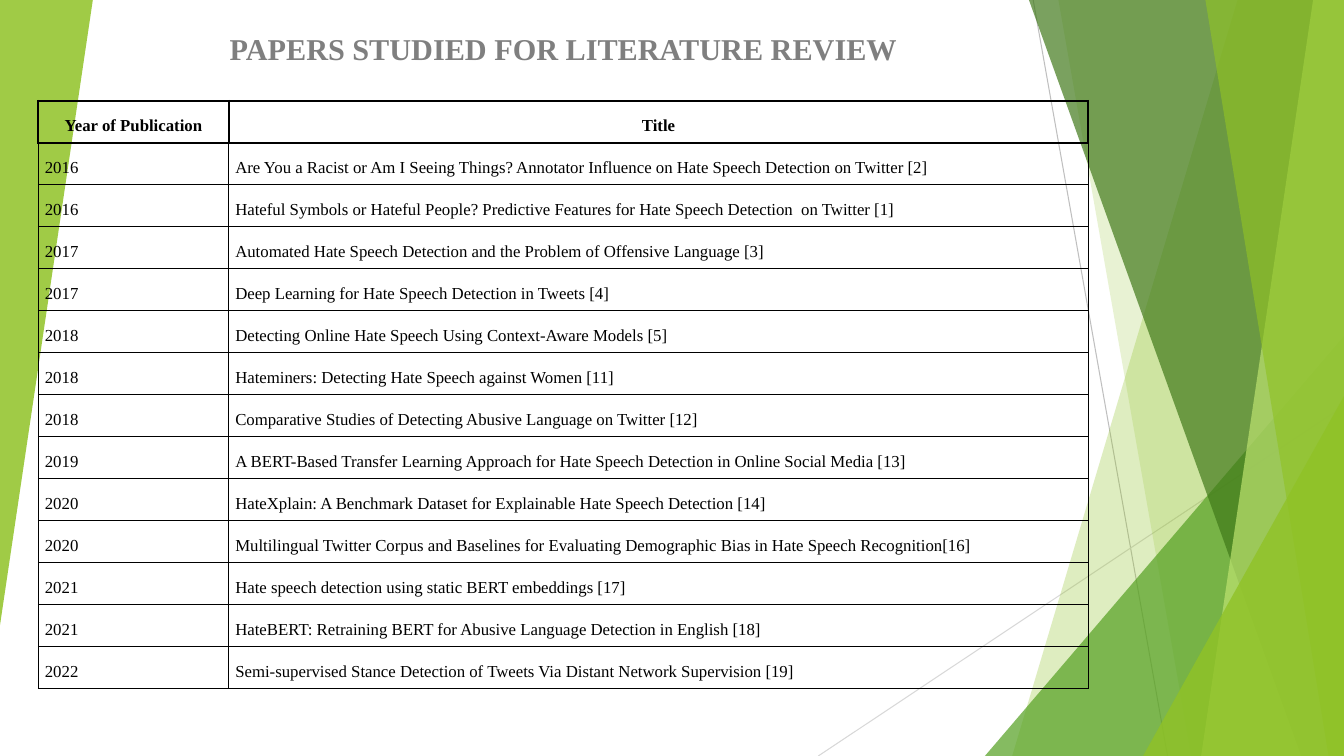
from dataclasses import dataclass

import lxml.etree
import pptx
import pptx.dml.color
import pptx.enum.shapes
import pptx.enum.text
import pptx.oxml.ns
import pptx.util

Pt = pptx.util.Pt
RGBColor = pptx.dml.color.RGBColor
Align = pptx.enum.text.PP_ALIGN
Anchor = pptx.enum.text.MSO_ANCHOR
qn = pptx.oxml.ns.qn

BLACK = RGBColor(0x00, 0x00, 0x00)
TITLE_GRAY = RGBColor(0x7F, 0x7F, 0x7F)
LINE_GRAY = RGBColor(0xBF, 0xBF, 0xBF)
PALE_GRAY = RGBColor(0xD8, 0xD8, 0xD8)
LIME = RGBColor(0x90, 0xC2, 0x26)
PALE_LIME = RGBColor(0xBF, 0xE4, 0x71)
GREEN = RGBColor(0x54, 0xA0, 0x21)
DARK_GREEN = RGBColor(0x3F, 0x78, 0x18)

FONT = "Times New Roman"
WIDTH, HEIGHT = 960, 540
ROW_HEIGHT = 30
CELL_INSET = 4.65
COLUMN_WIDTHS = (136, 614)


@dataclass(frozen=True)
class Ray:
    start: tuple[float, float]
    end: tuple[float, float]
    color: RGBColor


@dataclass(frozen=True)
class Band:
    top_left: float
    bottom_left: float
    color: RGBColor
    opacity: int


@dataclass(frozen=True)
class Wedge:
    left: float
    top: float
    width: float
    height: float
    color: RGBColor
    opacity: int
    rotation: float = 0


@dataclass(frozen=True)
class Paper:
    year: str
    title: str
    alignment: Align = Align.LEFT


DECORATION = (
    Ray((738, 0), (834, HEIGHT), LINE_GRAY),
    Ray((WIDTH, 290), (584.5, HEIGHT), PALE_GRAY),
    Band(884, 723, LIME, 29),
    Band(756, 851, LIME, 20),
    Wedge(703.5, 240, 256.5, 300, GREEN, 71),
    Band(735, 929.5, DARK_GREEN, 69),
    Band(938, 858, PALE_LIME, 69),
    Band(861, 949, LIME, 65),
    Wedge(816.5, 283, 143.5, 257, LIME, 80),
    Wedge(0, 0, 66.3, 446.5, LIME, 85, 180),
)

PAPERS = (
    Paper("2016", "Are You a Racist or Am I Seeing Things? Annotator Influence on Hate Speech Detection on Twitter [2]"),
    Paper("2016", "Hateful Symbols or Hateful People? Predictive Features for Hate Speech Detection  on Twitter [1]", Align.JUSTIFY),
    Paper("2017", "Automated Hate Speech Detection and the Problem of Offensive Language [3]"),
    Paper("2017", "Deep Learning for Hate Speech Detection in Tweets [4]"),
    Paper("2018", "Detecting Online Hate Speech Using Context-Aware Models [5]", Align.JUSTIFY),
    Paper("2018", "Hateminers: Detecting Hate Speech against Women [11]"),
    Paper("2018", "Comparative Studies of Detecting Abusive Language on Twitter [12]", Align.JUSTIFY),
    Paper("2019", "A BERT-Based Transfer Learning Approach for Hate Speech Detection in Online Social Media [13]"),
    Paper("2020", "HateXplain: A Benchmark Dataset for Explainable Hate Speech Detection [14]"),
    Paper("2020", "Multilingual Twitter Corpus and Baselines for Evaluating Demographic Bias in Hate Speech Recognition[16]"),
    Paper("2021", "Hate speech detection using static BERT embeddings [17]"),
    Paper("2021", "HateBERT: Retraining BERT for Abusive Language Detection in English [18]"),
    Paper("2022", "Semi-supervised Stance Detection of Tweets Via Distant Network Supervision [19]", Align.JUSTIFY),
)


def paint(shape, color: RGBColor, opacity: int) -> None:
    shape.shadow.inherit = False
    shape.line.fill.background()
    shape.fill.solid()
    shape.fill.fore_color.rgb = color
    color_element = shape.element.spPr.find(qn("a:solidFill"))[0]
    lxml.etree.SubElement(color_element, qn("a:alpha"), val=str(opacity * 1000))


def draw_ray(slide, ray: Ray) -> None:
    connector = slide.shapes.add_connector(
        pptx.enum.shapes.MSO_CONNECTOR.STRAIGHT, *map(Pt, ray.start + ray.end))
    connector.line.color.rgb = ray.color
    connector.line.width = Pt(0.75)
    lxml.etree.SubElement(connector.element.spPr, qn("a:effectLst"))


def draw_band(slide, band: Band) -> None:
    builder = slide.shapes.build_freeform(Pt(band.top_left), 0)
    corners = ((WIDTH, 0), (WIDTH, HEIGHT), (band.bottom_left, HEIGHT))
    builder.add_line_segments([(Pt(x), Pt(y)) for x, y in corners], close=True)
    paint(builder.convert_to_shape(), band.color, band.opacity)


def draw_wedge(slide, wedge: Wedge) -> None:
    shape = slide.shapes.add_shape(
        pptx.enum.shapes.MSO_SHAPE.ISOSCELES_TRIANGLE,
        Pt(wedge.left), Pt(wedge.top), Pt(wedge.width), Pt(wedge.height))
    shape.adjustments[0] = 1
    shape.rotation = wedge.rotation
    paint(shape, wedge.color, wedge.opacity)


DRAWERS = {Ray: draw_ray, Band: draw_band, Wedge: draw_wedge}


def format_font(font, size: float, color: RGBColor, bold: bool) -> None:
    font.name = FONT
    font.size = Pt(size)
    font.color.rgb = color
    font.bold = bold


def place_title(slide, text: str) -> None:
    title = slide.shapes.title
    title.element.getparent().append(title.element)
    title.left, title.top, title.width, title.height = map(Pt, (105, 13.5, 595, 38))
    text_frame = title.text_frame
    text_frame.text = text
    text_frame.vertical_anchor = Anchor.BOTTOM
    text_frame.auto_size = pptx.enum.text.MSO_AUTO_SIZE.NONE
    paragraph = text_frame.paragraphs[0]
    paragraph.alignment = Align.CENTER
    format_font(paragraph.runs[0].font, 21.6, TITLE_GRAY, True)


def set_borders(cell, width: float) -> None:
    properties = cell._tc.get_or_add_tcPr()
    for position, side in enumerate(("a:lnL", "a:lnR", "a:lnT", "a:lnB")):
        line = lxml.etree.Element(qn(side), w=str(Pt(width)))
        fill = lxml.etree.SubElement(line, qn("a:solidFill"))
        lxml.etree.SubElement(fill, qn("a:srgbClr"), val=str(BLACK))
        properties.insert(position, line)


def fill_cell(cell, text: str, alignment: Align, bold: bool, border: float) -> None:
    cell.fill.background()
    cell.margin_left = cell.margin_right = Pt(CELL_INSET)
    cell.margin_top = cell.margin_bottom = Pt(CELL_INSET)
    cell.text_frame.text = text
    paragraph = cell.text_frame.paragraphs[0]
    paragraph.alignment = alignment
    paragraph.line_spacing = 1.5
    format_font(paragraph.runs[0].font, 12, BLACK, bold)
    set_borders(cell, border)


def add_papers_table(slide) -> None:
    row_count = len(PAPERS) + 1
    table = slide.shapes.add_table(
        row_count, len(COLUMN_WIDTHS), Pt(27.4), Pt(72),
        Pt(sum(COLUMN_WIDTHS)), Pt(ROW_HEIGHT * row_count)).table
    table.first_row = table.horz_banding = False
    for column, width in zip(table.columns, COLUMN_WIDTHS):
        column.width = Pt(width)
    for column, heading in enumerate(("Year of Publication", "Title")):
        fill_cell(table.cell(0, column), heading, Align.CENTER, True, 1.5)
    for row, paper in enumerate(PAPERS, start=1):
        fill_cell(table.cell(row, 0), paper.year, Align.LEFT, False, 1)
        fill_cell(table.cell(row, 1), paper.title, paper.alignment, False, 1)
    for column in range(len(COLUMN_WIDTHS)):
        top_line = table.cell(1, column)._tc.tcPr.find(qn("a:lnT"))
        top_line.set("w", str(Pt(1.5)))


def main() -> None:
    presentation = pptx.Presentation()
    presentation.slide_width, presentation.slide_height = Pt(WIDTH), Pt(HEIGHT)
    slide = presentation.slides.add_slide(presentation.slide_layouts[0])
    subtitle = slide.placeholders[1].element
    subtitle.getparent().remove(subtitle)
    for item in DECORATION:
        DRAWERS[type(item)](slide, item)
    place_title(slide, "PAPERS STUDIED FOR LITERATURE REVIEW")
    add_papers_table(slide)
    presentation.save("out.pptx")


if __name__ == "__main__":
    main()
